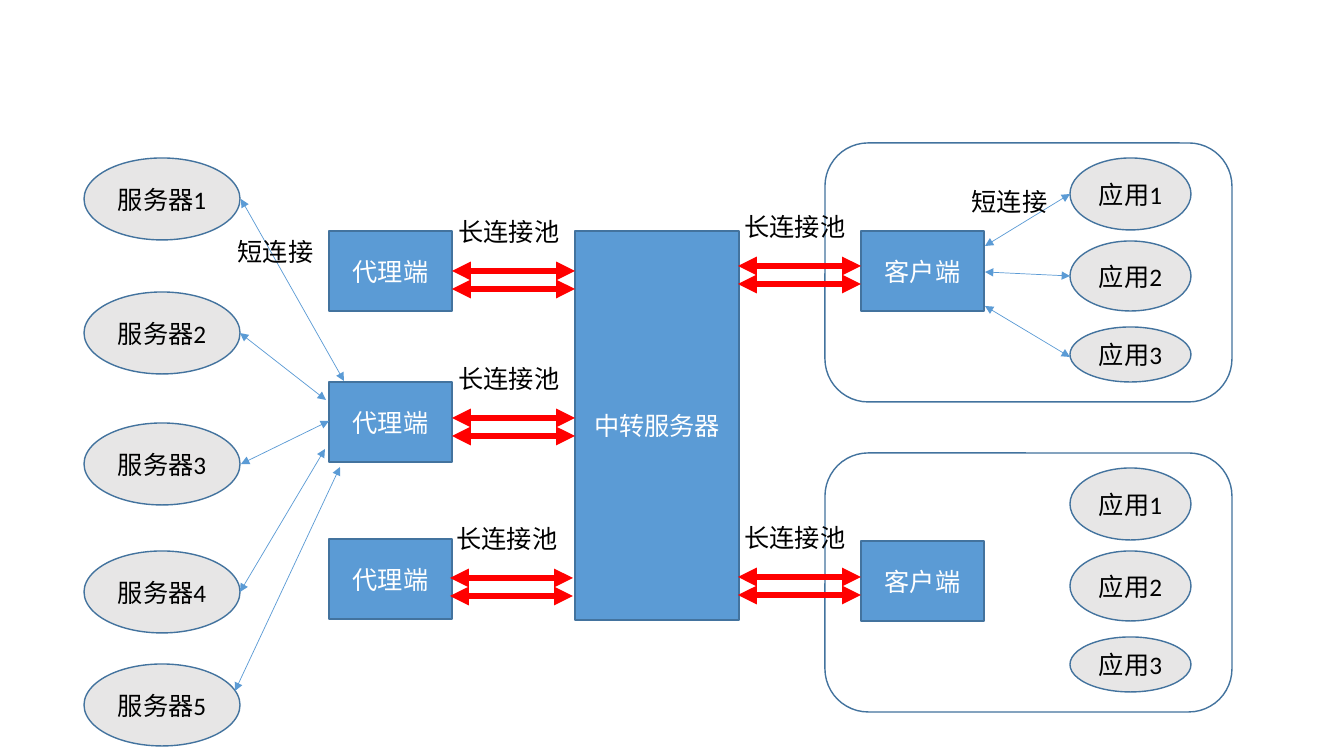
from dataclasses import dataclass

from lxml import etree
from pptx import Presentation, util as u
from pptx.dml.color import RGBColor
from pptx.enum import shapes, text
from pptx.oxml import ns


@dataclass(frozen=True)
class Theme:
    font: str = "Calibri"
    size: int = 18
    blue: str = "5B9BD5"
    outline: str = "43739E"
    gray: str = "E7E6E6"
    white: str = "FFFFFF"
    black: str = "000000"
    red: str = "FF0000"
    border: float = 1
    thin: float = 0.5
    thick: float = 4.5


THEME = Theme()
KIND = shapes.MSO_SHAPE
SCALE = 914400 / 100.8


def px(value):
    return u.Emu(round(value * SCALE))


def write(frame, wording, color):
    frame.text = wording
    paragraph = frame.paragraphs[0]
    paragraph.alignment = text.PP_ALIGN.CENTER
    paragraph.font.name = THEME.font
    paragraph.font.size = u.Pt(THEME.size)
    paragraph.font.color.rgb = RGBColor.from_string(color)


def node(slide, kind, box, fill, wording="", color=THEME.black):
    outline = slide.shapes.add_shape(kind, *map(px, box))
    outline.shadow.inherit = False
    outline.fill.solid()
    outline.fill.fore_color.rgb = RGBColor.from_string(fill)
    outline.line.color.rgb = RGBColor.from_string(THEME.outline)
    outline.line.width = u.Pt(THEME.border)
    if wording:
        frame = outline.text_frame
        frame.word_wrap = True
        frame.vertical_anchor = text.MSO_ANCHOR.MIDDLE
        write(frame, wording, color)


def block(slide, box, wording):
    node(slide, KIND.RECTANGLE, box, THEME.blue, wording, THEME.white)


def bubble(slide, box, wording):
    node(slide, KIND.OVAL, box, THEME.gray, wording)


def label(slide, box, wording):
    frame = slide.shapes.add_textbox(*map(px, box)).text_frame
    frame.word_wrap = False
    frame.auto_size = text.MSO_AUTO_SIZE.SHAPE_TO_FIT_TEXT
    write(frame, wording, THEME.black)


def link(slide, ends, color=THEME.blue, width=THEME.thin):
    arrow = slide.shapes.add_connector(shapes.MSO_CONNECTOR.STRAIGHT, *map(px, ends))
    arrow.line.color.rgb = RGBColor.from_string(color)
    arrow.line.width = u.Pt(width)
    stroke = arrow.line._get_or_add_ln()
    for end in ("a:headEnd", "a:tailEnd"):
        etree.SubElement(stroke, ns.qn(end), type="triangle")
    etree.SubElement(arrow._element.spPr, ns.qn("a:effectLst"))


def client_group(slide, box, connected):
    left, top, width, height = box
    node(slide, KIND.ROUNDED_RECTANGLE, box, THEME.white)
    block(slide, (left + 36, top + 88, 123, 80), "客户端")
    for number, (offset, tall) in enumerate(((15, 72), (98, 70), (184, 55)), 1):
        bubble(slide, (left + 245, top + offset, 121, tall), f"应用{number}")
    if connected:
        for client_y, app_y in ((103, 51), (129, 133), (163, 214)):
            link(slide, (left + 160, top + client_y, left + 245, top + app_y))
        label(slide, (left + 136, top + 38, 97, 40), "短连接")


def server_column(slide, box):
    left, top, width, height = box
    for number, offset in enumerate((0, 134, 265, 393, 506), 1):
        bubble(slide, (left, top + offset, width, 82), f"服务器{number}")


def proxy_column(slide, box):
    left, top, width, height = box
    for offset in (0, 151, 308):
        block(slide, (left, top + offset, width, 80), "代理端")


def server_links(slide, box):
    left, top, width, height = box
    for server_x, server_y, proxy_x, proxy_y in (
        (1, 0, 104, 182),
        (0, 134, 86, 201),
        (1, 265, 89, 222),
        (0, 393, 85, 250),
        (-5, 492, 100, 268),
    ):
        link(slide, (left + server_x, top + server_y, left + proxy_x, top + proxy_y))
    label(slide, (left - 13, top + 32, 97, 40), "短连接")


def connection_pool(slide, box):
    left, top, width, height = box
    for y in (top + 60, top + height):
        link(slide, (left, y, left + width, y), THEME.red, THEME.thick)
    label(slide, (left - 4, top, 122, 40), "长连接池")


deck = Presentation()
deck.slide_width, deck.slide_height = px(1344), px(756)
diagram = deck.slides.add_slide(deck.slide_layouts[6])

for group_top, connected in ((143, True), (453, False)):
    client_group(diagram, (825, group_top, 407, 259), connected)
block(diagram, (575, 231, 164, 389), "中转服务器")
proxy_column(diagram, (329, 231, 123, 388))
server_column(diagram, (84, 158, 156, 588))
server_links(diagram, (240, 199, 104, 492))
for pool_left, pool_top in ((452, 211), (452, 358), (450, 518), (738, 206), (738, 517)):
    connection_pool(diagram, (pool_left, pool_top, 123, 78))

deck.save("out.pptx")
